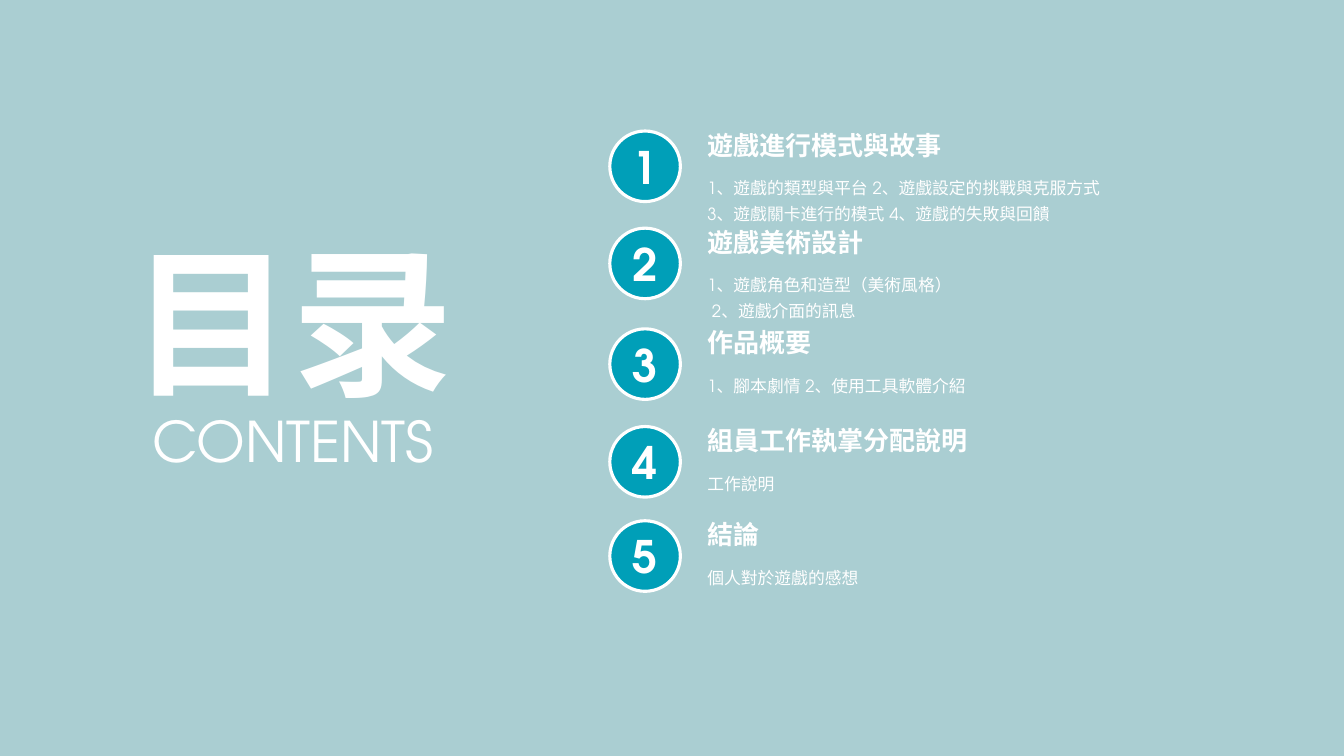
from dataclasses import dataclass

from lxml import etree
from pptx import Presentation
from pptx.dml.color import RGBColor
from pptx.enum.shapes import MSO_SHAPE
from pptx.enum.text import MSO_ANCHOR, MSO_AUTO_SIZE, PP_ALIGN
from pptx.oxml.ns import qn
from pptx.util import Pt

OVAL = MSO_SHAPE.OVAL
TOP, MIDDLE = MSO_ANCHOR.TOP, MSO_ANCHOR.MIDDLE
LEFT, CENTER = PP_ALIGN.LEFT, PP_ALIGN.CENTER
NO_AUTOFIT = MSO_AUTO_SIZE.NONE
TITLE_ONLY_LAYOUT = 5


@dataclass(frozen=True)
class Theme:
    background: RGBColor = RGBColor(0xAA, 0xCE, 0xD2)
    accent: RGBColor = RGBColor(0x00, 0x9F, 0xB8)
    white: RGBColor = RGBColor(0xFF, 0xFF, 0xFF)
    latin_font: str = "TeX Gyre Adventor"
    title_font: str = "Noto Sans CJK SC"
    title_size: float = 115
    subtitle_size: float = 40
    number_size: float = 32
    heading_size: float = 18.6
    detail_size: float = 12


@dataclass(frozen=True)
class Box:
    left: float
    top: float
    width: float
    height: float

    def lengths(self) -> tuple:
        return Pt(self.left), Pt(self.top), Pt(self.width), Pt(self.height)


@dataclass(frozen=True)
class TextStyle:
    size: float
    bold: bool = False
    font: str = "TeX Gyre Adventor"
    alignment: PP_ALIGN = LEFT
    anchor: MSO_ANCHOR = TOP
    wrap: bool = False
    line_spacing: float = 1.0


@dataclass(frozen=True)
class Section:
    top: float
    heading: str
    heading_width: float
    detail: str
    detail_height: float = 25.9


THEME = Theme()
TITLE = TextStyle(THEME.title_size, True, THEME.title_font, CENTER)
SUBTITLE = TextStyle(THEME.subtitle_size, font=THEME.latin_font, alignment=CENTER)
NUMBER = TextStyle(THEME.number_size, True, THEME.latin_font, CENTER, MIDDLE, True)
HEADING = TextStyle(THEME.heading_size, True, THEME.latin_font)
DETAIL = TextStyle(THEME.detail_size, font=THEME.latin_font, wrap=True, line_spacing=1.3)

CIRCLE_LEFT, CIRCLE_OFFSET, CIRCLE_SIZE = 435.6, 5, 50.4
TEXT_LEFT, HEADING_HEIGHT = 498.2, 29.5
DETAIL_OFFSET, DETAIL_WIDTH = 30.6, 304.6

SECTIONS = (
    Section(88.6, "遊戲進行模式與故事", 183.6,
            "1、遊戲的類型與平台 2、遊戲設定的挑戰與克服方式 "
            "3、遊戲關卡進行的模式 4、遊戲的失敗與回饋", 45.4),
    Section(158, "遊戲美術設計", 127.4,
            "1、遊戲角色和造型（美術風格）\v 2、遊戲介面的訊息", 45.4),
    Section(229.9, "作品概要", 90, "1、腳本劇情 2、使用工具軟體介紹"),
    Section(299.7, "組員工作執掌分配說明", 202.3, "工作說明"),
    Section(367, "結論", 51.8, "個人對於遊戲的感想"),
)


def apply_format(target, values: dict) -> None:
    for name, value in values.items():
        setattr(target, name, value)


def write_text(shape, text: str, style: TextStyle) -> None:
    frame = shape.text_frame
    apply_format(frame, {
        "word_wrap": style.wrap,
        "auto_size": NO_AUTOFIT,
        "vertical_anchor": style.anchor,
        "margin_left": Pt(7.2),
        "margin_right": Pt(7.2),
        "margin_top": Pt(3.6),
        "margin_bottom": Pt(3.6),
    })
    paragraph = frame.paragraphs[0]
    paragraph.text = text
    apply_format(paragraph, {
        "alignment": style.alignment,
        "line_spacing": style.line_spacing,
    })
    for run in paragraph.runs:
        apply_format(run.font, {
            "size": Pt(style.size),
            "bold": style.bold,
            "name": style.font,
        })
        run.font.color.rgb = THEME.white
        east_asian = etree.Element(qn("a:ea"), typeface=style.font)
        run.font._element.find(qn("a:latin")).addnext(east_asian)


def add_text(slide, box: Box, text: str, style: TextStyle) -> None:
    write_text(slide.shapes.add_textbox(*box.lengths()), text, style)


def add_number(slide, box: Box, number: int) -> None:
    circle = slide.shapes.add_shape(OVAL, *box.lengths())
    circle.shadow.inherit = False
    circle.fill.solid()
    circle.fill.fore_color.rgb = THEME.accent
    circle.line.color.rgb = THEME.white
    circle.line.width = Pt(2.25)
    write_text(circle, str(number), NUMBER)


def add_section(slide, number: int, section: Section) -> None:
    add_text(slide, Box(TEXT_LEFT, section.top, section.heading_width, HEADING_HEIGHT),
             section.heading, HEADING)
    add_text(slide, Box(TEXT_LEFT, section.top + DETAIL_OFFSET, DETAIL_WIDTH,
                        section.detail_height), section.detail, DETAIL)
    add_number(slide, Box(CIRCLE_LEFT, section.top + CIRCLE_OFFSET,
                          CIRCLE_SIZE, CIRCLE_SIZE), number)


def main() -> None:
    presentation = Presentation()
    apply_format(presentation, {"slide_width": Pt(960), "slide_height": Pt(540)})
    slide = presentation.slides.add_slide(presentation.slide_layouts[TITLE_ONLY_LAYOUT])
    slide.background.fill.solid()
    slide.background.fill.fore_color.rgb = THEME.background

    title = slide.shapes.title
    title_box = Box(85.7, 155.5, 247, 146.9)
    apply_format(title, dict(zip(("left", "top", "width", "height"), title_box.lengths())))
    write_text(title, "目录", TITLE)
    add_text(slide, Box(100.1, 286.6, 218.2, 55.4), "CONTENTS", SUBTITLE)
    for number, section in enumerate(SECTIONS, start=1):
        add_section(slide, number, section)

    presentation.save("out.pptx")


if __name__ == "__main__":
    main()
